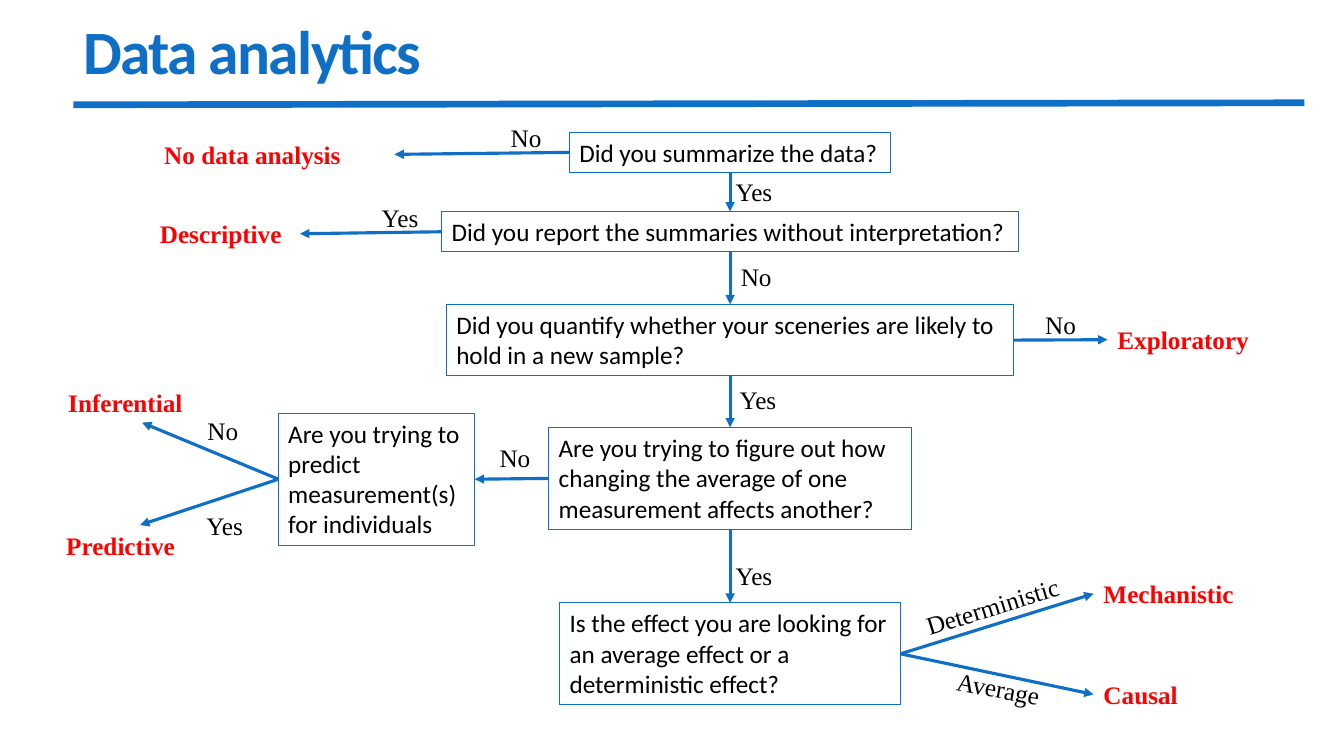
from pptx import Presentation
from pptx.dml.color import RGBColor as Rgb
from pptx.enum.shapes import MSO_CONNECTOR as Conn, MSO_SHAPE as Form
from pptx.enum.text import MSO_ANCHOR as Anchor, PP_ALIGN as Align
from pptx.oxml.ns import qn
from pptx.util import Cm, Pt
from lxml.etree import SubElement as Sub

theme = {
    "blue": Rgb(0x0F, 0x6F, 0xC6), "red": Rgb(255, 0, 0), "black": Rgb(0, 0, 0),
    "sans": "Calibri", "serif": "Times New Roman",
    "head": Pt(44), "body": Pt(18),
    "rule": Pt(4.75), "arrow": Pt(2.25), "edge": Pt(0.75),
}

deck = Presentation()
deck.slide_width, deck.slide_height = Cm(33.87), Cm(19.05)
slide = deck.slides.add_slide(deck.slide_layouts[6])
shapes = slide.shapes


def write(shape, text, font, size, color, bold=False):
    """Fill a shape with one left-aligned, wrapped run of text."""
    frame = shape.text_frame
    frame.word_wrap = True
    frame.vertical_anchor = Anchor.TOP
    para = frame.paragraphs[0]
    para.alignment = Align.LEFT
    run = para.add_run()
    run.text = text
    run.font.name, run.font.size = theme[font], theme[size]
    run.font.color.rgb, run.font.bold = theme[color], bold
    return run


def draw(x1, y1, x2, y2, width):
    """Add a plain blue line without a shadow."""
    line = shapes.add_connector(Conn.STRAIGHT, Cm(x1), Cm(y1), Cm(x2), Cm(y2))
    line.line.color.rgb, line.line.width = theme["blue"], theme[width]
    Sub(line._element.spPr, qn("a:effectLst"))
    return line


# Title and rule
draw(1.85, 2.64, 32.87, 2.59, "rule")
title = shapes.add_textbox(Cm(1.85), Cm(0.2), Cm(29.92), Cm(2.39))
run = write(title, "Data analytics", "sans", "head", "blue", True)
run._r.get_or_add_rPr().set("spc", "-120")
title.text_frame.vertical_anchor = Anchor.MIDDLE
title.text_frame.paragraphs[0].line_spacing = 0.85

# Questions: centre, top, width, height; most share one spine
spine = 18.4
nodes = {}
for name, mid, top, wide, high, text in [
    ("summary", spine, 3.33, 8.1, 1.02, "Did you summarize the data?"),
    ("report", spine, 5.33, 14.53, 1.02,
     "Did you report the summaries without interpretation?"),
    ("sample", spine, 7.67, 14.3, 1.8,
     "Did you quantify whether your sceneries are likely to hold in a new sample?"),
    ("change", spine, 10.77, 9.14, 2.57,
     "Are you trying to figure out how changing the average of one "
     "measurement affects another?"),
    ("single", 9.49, 10.41, 4.95, 3.33,
     "Are you trying to predict measurement(s) for individuals"),
    ("effect", spine, 15.19, 8.59, 2.57,
     "Is the effect you are looking for an average effect or a "
     "deterministic effect?"),
]:
    box = shapes.add_shape(Form.RECTANGLE, Cm(mid - wide / 2), Cm(top), Cm(wide), Cm(high))
    box.shadow.inherit = False
    box.fill.background()
    box.line.color.rgb, box.line.width = theme["blue"], theme["edge"]
    write(box, text, "sans", "body", "black")
    nodes[name] = box

# Kinds of analysis
row = 1.02
for text, left, top, wide in [
    ("No data analysis", 3.89, 3.38, 6.05),
    ("Descriptive", 3.78, 5.38, 3.78),
    ("Exploratory", 27.91, 8.05, 4.22),
    ("Inferential", 1.47, 9.63, 4.22),
    ("Predictive", 1.42, 13.23, 4.22),
    ("Mechanistic", 27.56, 14.45, 4.22),
    ("Causal", 27.56, 16.99, 4.22),
]:
    box = shapes.add_textbox(Cm(left), Cm(top), Cm(wide), Cm(row))
    write(box, text, "serif", "body", "red", True)
    nodes[text] = box

# Arrows, glued to the sides of the boxes
TOP, LEFT, BASE, RIGHT = range(4)
for start, out, end, into in [
    ("summary", LEFT, "No data analysis", RIGHT),
    ("summary", BASE, "report", TOP),
    ("report", LEFT, "Descriptive", RIGHT),
    ("report", BASE, "sample", TOP),
    ("sample", RIGHT, "Exploratory", LEFT),
    ("sample", BASE, "change", TOP),
    ("change", LEFT, "single", RIGHT),
    ("change", BASE, "effect", TOP),
    ("single", LEFT, "Inferential", BASE),
    ("single", LEFT, "Predictive", TOP),
    ("effect", RIGHT, "Mechanistic", LEFT),
    ("effect", RIGHT, "Causal", LEFT),
]:
    arrow = draw(0, 0, 1, 1, "arrow")
    arrow.begin_connect(nodes[start], out)
    arrow.end_connect(nodes[end], into)
    Sub(arrow.line._get_or_add_ln(), qn("a:tailEnd"), type="triangle")

# Answers beside the arrows
for text, left, top, wide, turn in [
    ("No", 12.62, 2.95, 1.47, 0),
    ("Yes", 18.29, 4.32, 1.47, 0),
    ("Yes", 9.37, 4.98, 1.47, 0),
    ("No", 18.42, 6.45, 1.47, 0),
    ("No", 26.09, 7.67, 1.47, 0),
    ("Yes", 18.39, 9.55, 1.47, 0),
    ("No", 12.34, 11.02, 1.47, 0),
    ("Yes", 18.29, 14, 1.47, 0),
    ("No", 4.98, 10.34, 1.47, 0),
    ("Yes", 4.95, 12.73, 1.47, 0),
    ("Deterministic", 23.01, 14.63, 4.88, -17.2),
    ("Average", 23.85, 16.94, 3.66, 10.7),
]:
    label = shapes.add_textbox(Cm(left), Cm(top), Cm(wide), Cm(row))
    label.rotation = turn
    write(label, text, "serif", "body", "black")

deck.save("out.pptx")
